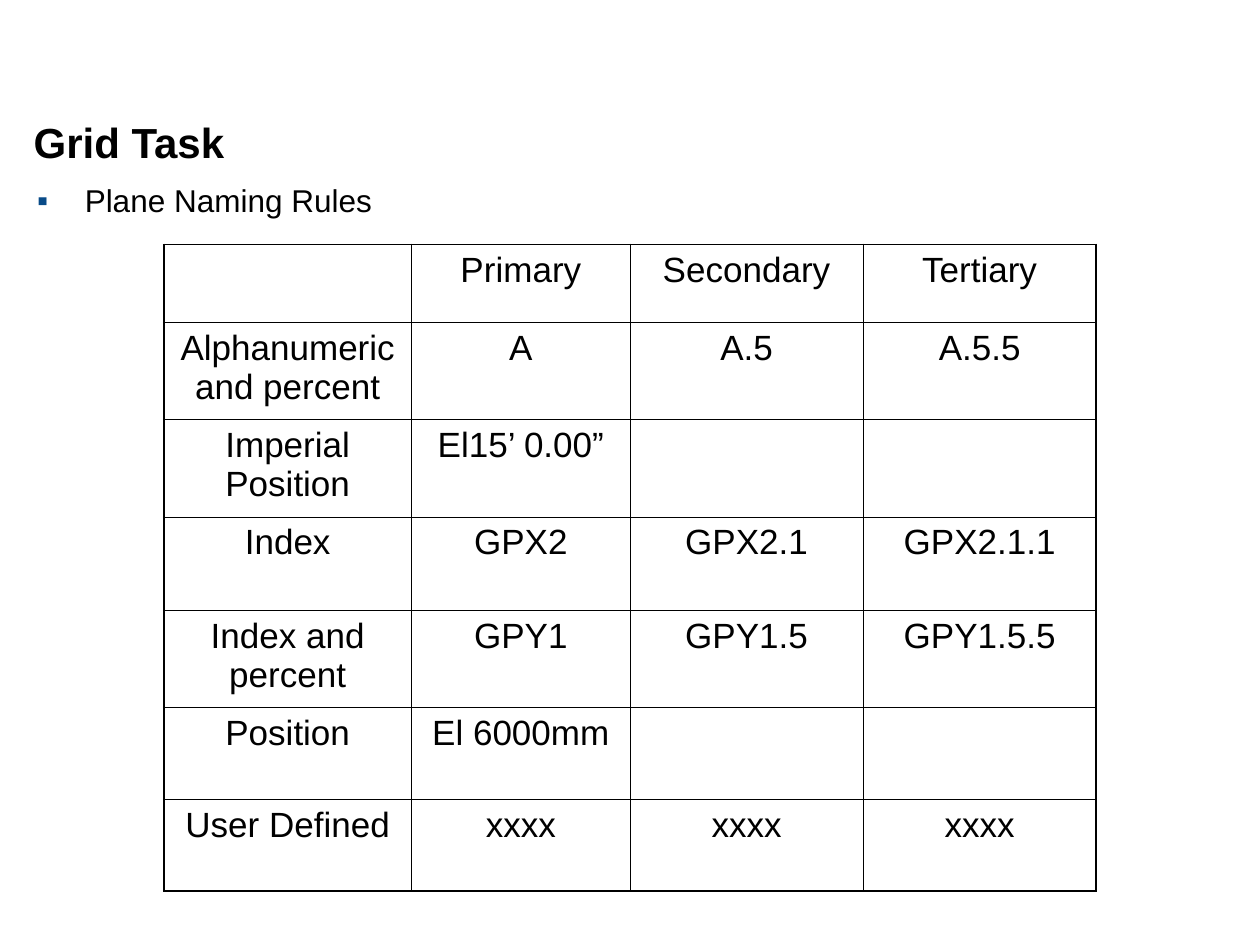
import pptx
import pptx.dml.color
import pptx.enum.text
import pptx.oxml
import pptx.oxml.ns
import pptx.util
import lxml.etree

Cm = pptx.util.Cm
Pt = pptx.util.Pt
BLACK = pptx.dml.color.RGBColor(0x00, 0x00, 0x00)
BLUE = pptx.dml.color.RGBColor(0x08, 0x4B, 0x88)
LEFT = pptx.enum.text.PP_ALIGN.LEFT
CENTER = pptx.enum.text.PP_ALIGN.CENTER
MIDDLE = pptx.enum.text.MSO_ANCHOR.MIDDLE
TOP = pptx.enum.text.MSO_ANCHOR.TOP
THIN, THICK = Pt(0.45), Pt(1.08)


def write(frame, text, size, bold=False, align=LEFT, before=0, anchor=TOP):
    """Fill a text frame with one formatted paragraph and return it."""
    frame.word_wrap = True
    frame.vertical_anchor = anchor
    para = frame.paragraphs[0]
    para.alignment = align
    para.space_before = Pt(before)
    run = para.add_run()
    run.text = text
    run.font.name = "Arial"
    run.font.size = Pt(size)
    run.font.bold = bold
    run.font.color.rgb = BLACK
    return para


def add(parent, tag, **attrs):
    node = lxml.etree.SubElement(parent, pptx.oxml.ns.qn(tag))
    for name, value in attrs.items():
        node.set(name, str(value))
    return node


deck = pptx.Presentation()
deck.slide_width, deck.slide_height = Cm(25.4), Cm(19.05)
slide = deck.slides.add_slide(deck.slide_layouts[6])

title = slide.shapes.add_textbox(Cm(0.43), Cm(1.27), Cm(18.85), Cm(3.18))
write(title.text_frame, "Grid Task", 24, bold=True, anchor=MIDDLE)

body = slide.shapes.add_textbox(Cm(0.5), Cm(3.53), Cm(12.07), Cm(1.8))
para = write(body.text_frame, "Plane Naming Rules", 18, before=4.5)
props = para._p.get_or_add_pPr()
props.set("marL", str(Cm(0.96)))
props.set("indent", str(-Cm(0.96)))
add(add(props, "a:buClr"), "a:srgbClr", val=BLUE)
add(props, "a:buFont", typeface="Arial")
add(props, "a:buChar", char="▪")

rules = [
    ["", "Primary", "Secondary", "Tertiary"],
    ["Alphanumeric and percent", "A", "A.5", "A.5.5"],
    ["Imperial Position", "El15’ 0.00”", "", ""],
    ["Index", "GPX2", "GPX2.1", "GPX2.1.1"],
    ["Index and percent", "GPY1", "GPY1.5", "GPY1.5.5"],
    ["Position", "El 6000mm", "", ""],
    ["User Defined", "xxxx", "xxxx", "xxxx"],
]
widths = [5, 4.4, 4.7, 4.7]
heights = [1.57, 1.96, 1.96, 1.88, 1.96, 1.85, 1.85]
last_row, last_col = len(heights) - 1, len(widths) - 1

frame = slide.shapes.add_table(len(heights), len(widths), Cm(3.3), Cm(4.93),
                               Cm(sum(widths)), Cm(sum(heights)))
table = frame.table
table.first_row = table.horz_banding = False
for col, width in zip(table.columns, widths):
    col.width = Cm(width)
for row, height in zip(table.rows, heights):
    row.height = Cm(height)

for r, texts in enumerate(rules):
    for c, text in enumerate(texts):
        cell = table.cell(r, c)
        if text:
            write(cell.text_frame, text, 20, align=CENTER, before=5)
        outer = {"a:lnL": c == 0, "a:lnR": c == last_col,
                 "a:lnT": r == 0, "a:lnB": r == last_row}
        props = cell._tc.get_or_add_tcPr()
        for side, edge in outer.items():
            line = add(props, side, w=THICK if edge else THIN)
            add(add(line, "a:solidFill"), "a:srgbClr", val=BLACK)
        cell.fill.background()

deck.save("out.pptx")
